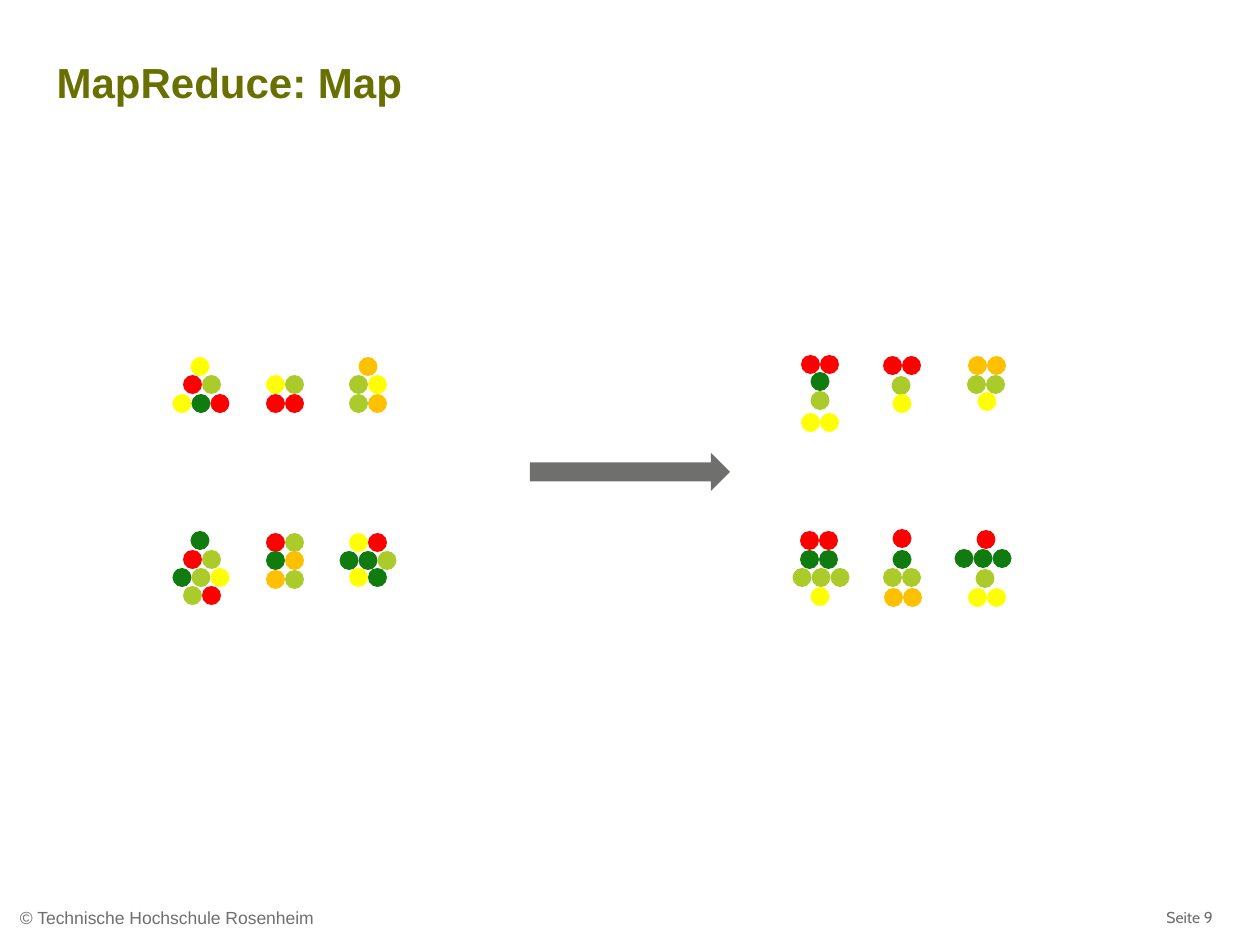
from pptx import Presentation
from pptx import util as u
from pptx.dml.color import RGBColor
from pptx.enum import shapes, text

PX = u.Inches(1) / 126
DOT = 19
COLOURS = {
    "R": "FF0000", "G": "107C10", "L": "ABCB2A", "Y": "FFFF00", "O": "FFC000",
    "title": "677000", "grey": "6F6F6E",
}

# Each cluster is a list of rows: centre x, top y, one colour letter per dot.
INPUT_CLUSTERS = [
    [(200, 357, "Y"), (202, 375, "RL"), (201, 394, "YGR")],
    [(285, 375, "YL"), (285, 394, "RR")],
    [(368, 357, "O"), (368, 375, "LY"), (368, 394, "LO")],
    [(200, 531, "G"), (202, 550, "RL"), (201, 568, "GLY"), (202, 586, "LR")],
    [(285, 533, "RL"), (285, 551, "GO"), (285, 570, "OL")],
    [(368, 533, "YR"), (368, 551, "GGL"), (368, 568, "YG")],
]
MAPPED_CLUSTERS = [
    [(820, 355, "RR"), (820, 372, "G"), (820, 391, "L"), (820, 413, "YY")],
    [(902, 356, "RR"), (901, 376, "L"), (902, 394, "Y")],
    [(987, 356, "OO"), (986, 375, "LL"), (987, 392, "Y")],
    [(819, 531, "RR"), (819, 550, "GG"), (821, 568, "LLL"), (820, 587, "Y")],
    [(902, 529, "R"), (902, 550, "G"), (902, 568, "LL"), (903, 588, "OO")],
    [(986, 530, "R"), (983, 549, "GGG"), (985, 569, "L"), (987, 588, "YY")],
]
ARROW = (530, 453, 200, 38)
TITLE_BOX = (44, 50, 838, 117)
FOOTER_BOX = (5, 892, 1012, 52)
PAGE_BOX = (1154, 902, 90, 32)


def emu(*lengths):
    return [round(length * PX) for length in lengths]


def write(box, wording, *, size, colour, font="Arial", bold=False,
          anchor=text.MSO_ANCHOR.TOP, inset=None, wrap=True):
    frame = box.text_frame
    frame.auto_size = text.MSO_AUTO_SIZE.NONE
    frame.word_wrap = wrap
    frame.vertical_anchor = anchor
    if inset is not None:
        frame.margin_left = frame.margin_right = emu(inset)[0]
        frame.margin_top = frame.margin_bottom = emu(inset)[0]
    paragraph = frame.paragraphs[0]
    paragraph.alignment = text.PP_ALIGN.LEFT
    run = paragraph.add_run()
    run.text = wording
    run.font.size = u.Pt(size)
    run.font.name = font
    run.font.bold = bold
    run.font.color.rgb = RGBColor.from_string(COLOURS[colour])


def add_filled(parent, kind, bounds, colour):
    shape = parent.add_shape(kind, *emu(*bounds))
    shape.shadow.inherit = False
    shape.fill.solid()
    shape.fill.fore_color.rgb = RGBColor.from_string(COLOURS[colour])
    shape.line.fill.background()


def add_cluster(parent, rows):
    """Draw rows of touching dots, each row centred on its own x."""
    for centre, top, letters in rows:
        left = centre - len(letters) * DOT / 2
        for i, letter in enumerate(letters):
            add_filled(parent, shapes.MSO_SHAPE.OVAL,
                       (left + i * DOT, top, DOT, DOT), letter)


def main():
    deck = Presentation()
    deck.slide_width, deck.slide_height = u.Inches(10), u.Inches(7.5)
    slide = deck.slides.add_slide(deck.slide_layouts[5])
    parts = slide.shapes

    title = parts.title
    title.left, title.top, title.width, title.height = emu(*TITLE_BOX)
    write(title, "MapReduce: Map", size=24, colour="title", bold=True)
    write(parts.add_textbox(*emu(*FOOTER_BOX)), "© Technische Hochschule Rosenheim",
          size=10, colour="grey", anchor=text.MSO_ANCHOR.MIDDLE, inset=15)
    write(parts.add_textbox(*emu(*PAGE_BOX)), "Seite 9",
          size=9, colour="grey", font="Cabin", wrap=False)

    for rows in INPUT_CLUSTERS:
        add_cluster(parts, rows)
    add_filled(parts, shapes.MSO_SHAPE.RIGHT_ARROW, ARROW, "grey")
    for rows in MAPPED_CLUSTERS:
        add_cluster(parts.add_group_shape().shapes, rows)

    deck.save("out.pptx")


if __name__ == "__main__":
    main()
